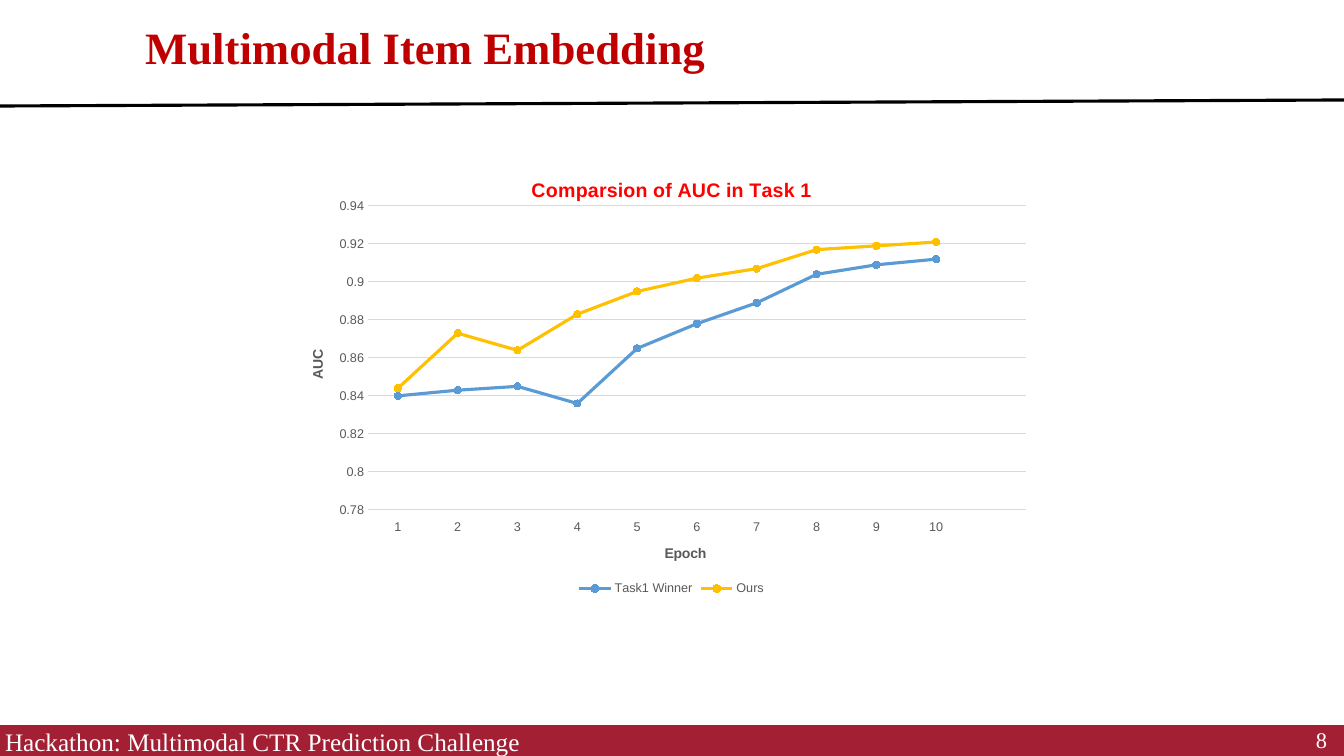
"""Build the Multimodal Item Embedding slide with its AUC line chart."""
from dataclasses import dataclass

from lxml import etree
from pptx import Presentation
from pptx.chart.data import CategoryChartData
from pptx.dml.color import RGBColor
from pptx.enum.chart import (XL_CHART_TYPE, XL_LEGEND_POSITION, XL_MARKER_STYLE,
                             XL_TICK_LABEL_POSITION, XL_TICK_MARK)
from pptx.enum.shapes import MSO_CONNECTOR, MSO_SHAPE
from pptx.enum.text import MSO_ANCHOR, PP_ALIGN
from pptx.oxml.ns import qn
from pptx.util import Emu, Pt

LINE_MARKERS = XL_CHART_TYPE.LINE_MARKERS
LEGEND_BOTTOM = XL_LEGEND_POSITION.BOTTOM
CIRCLE = XL_MARKER_STYLE.CIRCLE
LABELS_LOW = XL_TICK_LABEL_POSITION.LOW
NO_TICK = XL_TICK_MARK.NONE
STRAIGHT = MSO_CONNECTOR.STRAIGHT
RECTANGLE = MSO_SHAPE.RECTANGLE
TOP, MIDDLE = MSO_ANCHOR.TOP, MSO_ANCHOR.MIDDLE
LEFT, RIGHT = PP_ALIGN.LEFT, PP_ALIGN.RIGHT
TITLE_ONLY = 5
EMU_PER_PX = 914400 / 100.8


@dataclass(frozen=True)
class Theme:
    """Fonts, colours and type sizes."""
    text_font: str = "Times New Roman"
    chart_font: str = "Arial"
    heading: str = "C00000"
    band: str = "A31F34"
    white: str = "FFFFFF"
    black: str = "000000"
    chart_heading: str = "FF0000"
    grey: str = "595959"
    grid: str = "D9D9D9"
    winner: str = "5B9BD5"
    ours: str = "FFC000"
    heading_size: int = 32
    footer_size: int = 18
    number_size: int = 16
    chart_heading_size: int = 14
    axis_title_size: int = 10
    label_size: int = 9
    line_width: float = 2.25
    grid_width: float = 0.75


def px(length):
    """Turn pixels into EMU."""
    return Emu(round(length * EMU_PER_PX))


def color(value):
    """Turn a hex string into a colour."""
    return RGBColor.from_string(value)


def style_font(font, name, size, fill, bold=False):
    """Set the face, size, colour and weight of a font."""
    font.name, font.size, font.bold = name, Pt(size), bold
    font.color.rgb = color(fill)


def style_line(line, fill, width):
    """Set the colour and width of a line."""
    line.color.rgb = color(fill)
    line.width = Pt(width)


def set_layout(parent, index, frame, box, target=None):
    """Place a chart part at a box in slide pixels."""
    for old in parent.findall(qn("c:layout")):
        parent.remove(old)
    layout = etree.Element(qn("c:layout"))
    parent.insert(index, layout)
    manual = etree.SubElement(layout, qn("c:manualLayout"))
    left, top, width, height = frame
    fractions = [(box[0] - left) / width, (box[1] - top) / height]
    fractions += [size / whole for size, whole in zip(box[2:], (width, height))]
    settings = [("layoutTarget", target)] if target else []
    settings += [("xMode", "edge"), ("yMode", "edge")]
    settings += zip("xywh", fractions)
    for tag, value in settings:
        etree.SubElement(manual, qn(f"c:{tag}")).set("val", str(value))


class SlideBuilder:
    """Hold the theme and current slide, and add elements to it."""

    def __init__(self, slide, theme):
        """Keep the slide and theme."""
        self.slide, self.theme = slide, theme

    def set_text(self, shape, text, size, fill, bold=False, align=LEFT, anchor=TOP):
        """Fill a shape with one styled paragraph."""
        frame = shape.text_frame
        frame.text = text
        frame.word_wrap = True
        frame.vertical_anchor = anchor
        paragraph = frame.paragraphs[0]
        paragraph.alignment = align
        style_font(paragraph.runs[0].font, self.theme.text_font, size, fill, bold)
        return paragraph

    def title(self, text, left, top, width, height):
        """Place and format the title placeholder."""
        shape = self.slide.shapes.title
        shape.left, shape.top = px(left), px(top)
        shape.width, shape.height = px(width), px(height)
        self.set_text(shape, text, self.theme.heading_size, self.theme.heading, bold=True)

    def band(self, left, top, width, height):
        """Add a plain filled band."""
        shape = self.slide.shapes.add_shape(RECTANGLE, px(left), px(top), px(width), px(height))
        shape.shadow.inherit = False
        shape.fill.solid()
        shape.fill.fore_color.rgb = color(self.theme.band)
        shape.line.fill.background()

    def text(self, text, box, size, align=LEFT, anchor=TOP, indent=10, spacing=None):
        """Add a white text box."""
        shape = self.slide.shapes.add_textbox(*map(px, box))
        shape.text_frame.margin_left = px(indent)
        paragraph = self.set_text(shape, text, size, self.theme.white, align=align, anchor=anchor)
        if spacing:
            paragraph.line_spacing = Pt(spacing)

    def rule(self, *ends):
        """Add a straight black line."""
        connector = self.slide.shapes.add_connector(STRAIGHT, *map(px, ends))
        style_line(connector.line, self.theme.black, self.theme.line_width)
        etree.SubElement(connector._element.spPr, qn("a:effectLst"))

    def chart_title(self, owner, title, text, frame, position, size, fill):
        """Fill in and place a chart or axis title."""
        title.text_frame.text = text
        font = title.text_frame.paragraphs[0].runs[0].font
        style_font(font, self.theme.chart_font, size, fill, bold=True)
        set_layout(owner.find(qn("c:title")), 1, frame, position)

    def line_chart(self, frame, plot, categories, series):
        """Add the line chart with markers."""
        theme = self.theme
        data = CategoryChartData()
        data.categories = categories
        for name, _, thousandths in series:
            data.add_series(name, [value / 1000 for value in thousandths] + [None])
        chart = self.slide.shapes.add_chart(LINE_MARKERS, *map(px, frame), data).chart
        style_font(chart.font, theme.chart_font, theme.label_size, theme.grey)
        chart.has_legend = True
        chart.legend.position = LEGEND_BOTTOM
        chart.legend.include_in_layout = False
        style_font(chart.legend.font, theme.chart_font, theme.label_size, theme.grey)
        chart.plots[0].vary_by_categories = False
        for line, (_, fill, _) in zip(chart.plots[0].series, series):
            line.smooth = False
            style_line(line.format.line, fill, theme.line_width)
            line.marker.style, line.marker.size = CIRCLE, 5
            line.marker.format.fill.solid()
            line.marker.format.fill.fore_color.rgb = color(fill)
            style_line(line.marker.format.line, fill, theme.grid_width)
        epochs, auc = chart.category_axis, chart.value_axis
        for axis, text, position in ((epochs, "Epoch", (662, 542)), (auc, "AUC", (306, 347))):
            axis.major_tick_mark = axis.minor_tick_mark = NO_TICK
            style_font(axis.tick_labels.font, theme.chart_font, theme.label_size, theme.grey)
            self.chart_title(axis._element, axis.axis_title, text, frame, position,
                             theme.axis_title_size, theme.grey)
        epochs.tick_label_position = LABELS_LOW
        style_line(epochs.format.line, theme.grid, theme.grid_width)
        auc.minimum_scale, auc.maximum_scale, auc.major_unit = 0.78, 0.94, 0.02
        auc.crosses_at = 0.8
        auc.format.line.fill.background()
        style_line(auc.major_gridlines.format.line, theme.grid, theme.grid_width)
        self.chart_title(chart._chartSpace.chart, chart.chart_title, "Comparsion of AUC in Task 1",
                         frame, (528, 174), theme.chart_heading_size, theme.chart_heading)
        set_layout(chart._chartSpace.chart.plotArea, 0, frame, plot, "inner")


def main():
    """Build and save the presentation."""
    theme = Theme()
    presentation = Presentation()
    presentation.slide_width, presentation.slide_height = px(1344), px(756)
    slide = presentation.slides.add_slide(presentation.slide_layouts[TITLE_ONLY])
    builder = SlideBuilder(slide, theme)
    builder.title("Multimodal Item Embedding", 135, 15, 649, 65)
    builder.band(0, 725, 1344, 31)
    builder.text("8", (1035, 720, 302, 40), theme.number_size, align=RIGHT, anchor=MIDDLE)
    builder.text("Hackathon: Multimodal CTR Prediction Challenge", (-45, 728, 840, 34),
                 theme.footer_size, indent=50, spacing=16.9)
    builder.rule(0, 106, 1344, 100)
    series = (
        ("Task1 Winner", theme.winner, [840, 843, 845, 836, 865, 878, 889, 904, 909, 912]),
        ("Ours", theme.ours, [844, 873, 864, 883, 895, 902, 907, 917, 919, 921]),
    )
    builder.line_chart((298, 155, 747, 445), (368, 206, 658, 304),
                       [str(epoch) for epoch in range(1, 11)] + [""], series)
    presentation.save("out.pptx")


if __name__ == "__main__":
    main()
